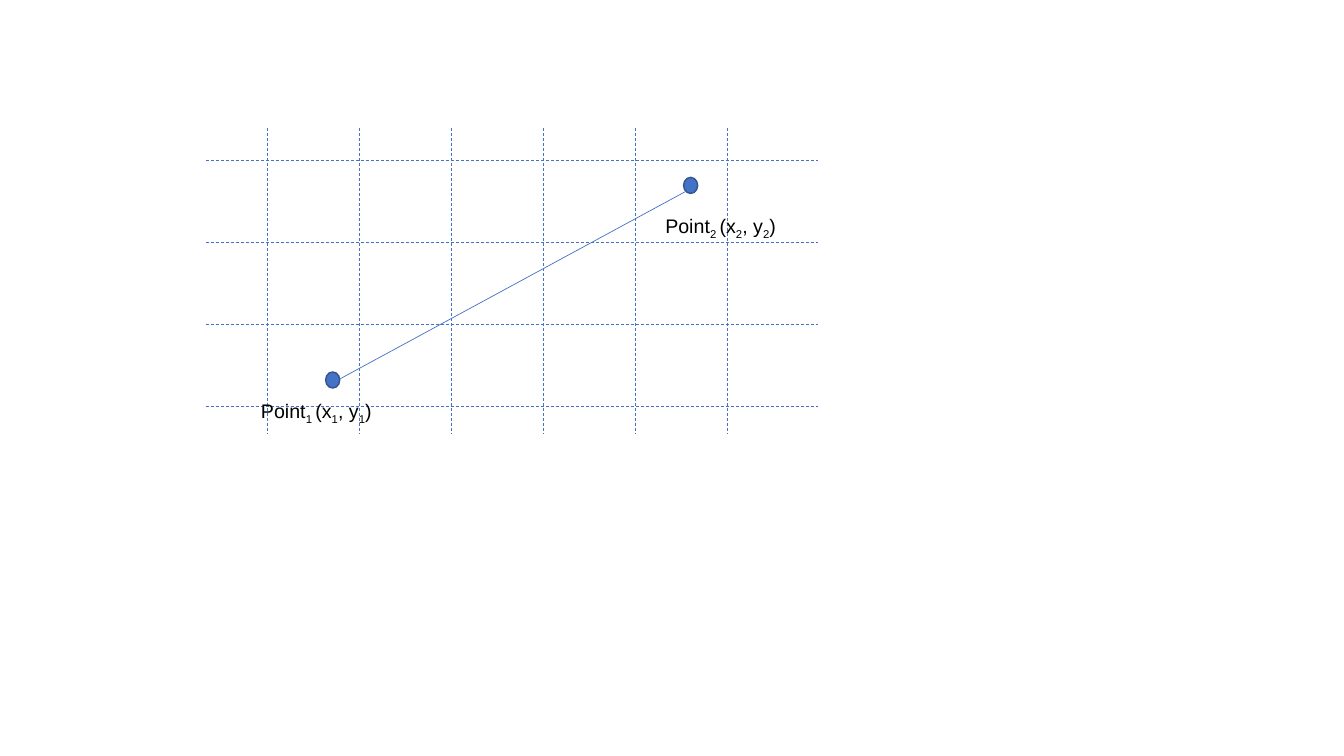
from lxml import etree
from pptx import Presentation
from pptx.dml.color import RGBColor
from pptx.enum.dml import MSO_LINE
from pptx.enum.shapes import MSO_CONNECTOR, MSO_SHAPE
from pptx.enum.text import MSO_AUTO_SIZE
from pptx.oxml.ns import qn
from pptx.util import Inches, Pt

STRAIGHT = MSO_CONNECTOR.STRAIGHT
OVAL = MSO_SHAPE.OVAL
DASH = MSO_LINE.DASH
FIT_SHAPE = MSO_AUTO_SIZE.SHAPE_TO_FIT_TEXT

COLORS = {"blue": "4472C4", "outline": "325491", "text": "000000"}
FONT = "Arial"
BLANK_LAYOUT = 6

# Grid of dashed lines, in inches
LEFT, RIGHT, TOP, BOTTOM = 2.04, 8.11, 1.27, 4.31
FIRST_ROW, ROW_GAP, ROWS = 1.59, 0.814, 4
FIRST_COL, COL_GAP, COLS = 2.65, 0.912, 6

DOT_W, DOT_H = 0.14, 0.16
LABEL_W, LABEL_H = 1.34, 0.34


def rgb(name):
    return RGBColor.from_string(COLORS[name])


def add_line(s, x1, y1, x2, y2, dash=None):
    line = s.shapes.add_connector(
        STRAIGHT, Inches(x1), Inches(y1), Inches(x2), Inches(y2))
    line.line.color.rgb = rgb("blue")
    line.line.width = Pt(0.5)
    if dash:
        line.line.dash_style = dash
    etree.SubElement(line._element.spPr, qn("a:effectLst"))


def add_grid(s):
    for row in range(ROWS):
        y = FIRST_ROW + row * ROW_GAP
        add_line(s, LEFT, y, RIGHT, y, DASH)
    for col in range(COLS):
        x = FIRST_COL + col * COL_GAP
        add_line(s, x, TOP, x, BOTTOM, DASH)


def add_dot(s, x, y):
    dot = s.shapes.add_shape(
        OVAL, Inches(x), Inches(y), Inches(DOT_W), Inches(DOT_H))
    dot.shadow.inherit = False
    dot.fill.solid()
    dot.fill.fore_color.rgb = rgb("blue")
    dot.line.color.rgb = rgb("outline")
    dot.line.width = Pt(1)


def add_label(s, x, y, index):
    """Name a point, with its index as a subscript on every symbol."""
    box = s.shapes.add_textbox(
        Inches(x), Inches(y), Inches(LABEL_W), Inches(LABEL_H))
    tf = box.text_frame
    tf.word_wrap = False
    tf.auto_size = FIT_SHAPE
    p = tf.paragraphs[0]
    parts = ["Point", f"{index} ", "(x", index, ", y", index, ")"]
    for i, text in enumerate(parts):
        r = p.add_run()
        r.text = text
        r.font.name = FONT
        r.font.size = Pt(14)
        r.font.color.rgb = rgb("text")
        if i % 2:
            r.font._element.set("baseline", "-25000")


def main():
    prs = Presentation()
    prs.slide_width, prs.slide_height = Inches(13.33), Inches(7.5)
    s = prs.slides.add_slide(prs.slide_layouts[BLANK_LAYOUT])
    add_grid(s)
    add_dot(s, 6.78, 1.76)
    add_dot(s, 3.23, 3.69)
    add_line(s, 3.37, 3.76, 6.8, 1.9)
    add_label(s, 2.49, 3.91, "1")
    add_label(s, 6.5, 2.07, "2")
    prs.save("out.pptx")


if __name__ == "__main__":
    main()
